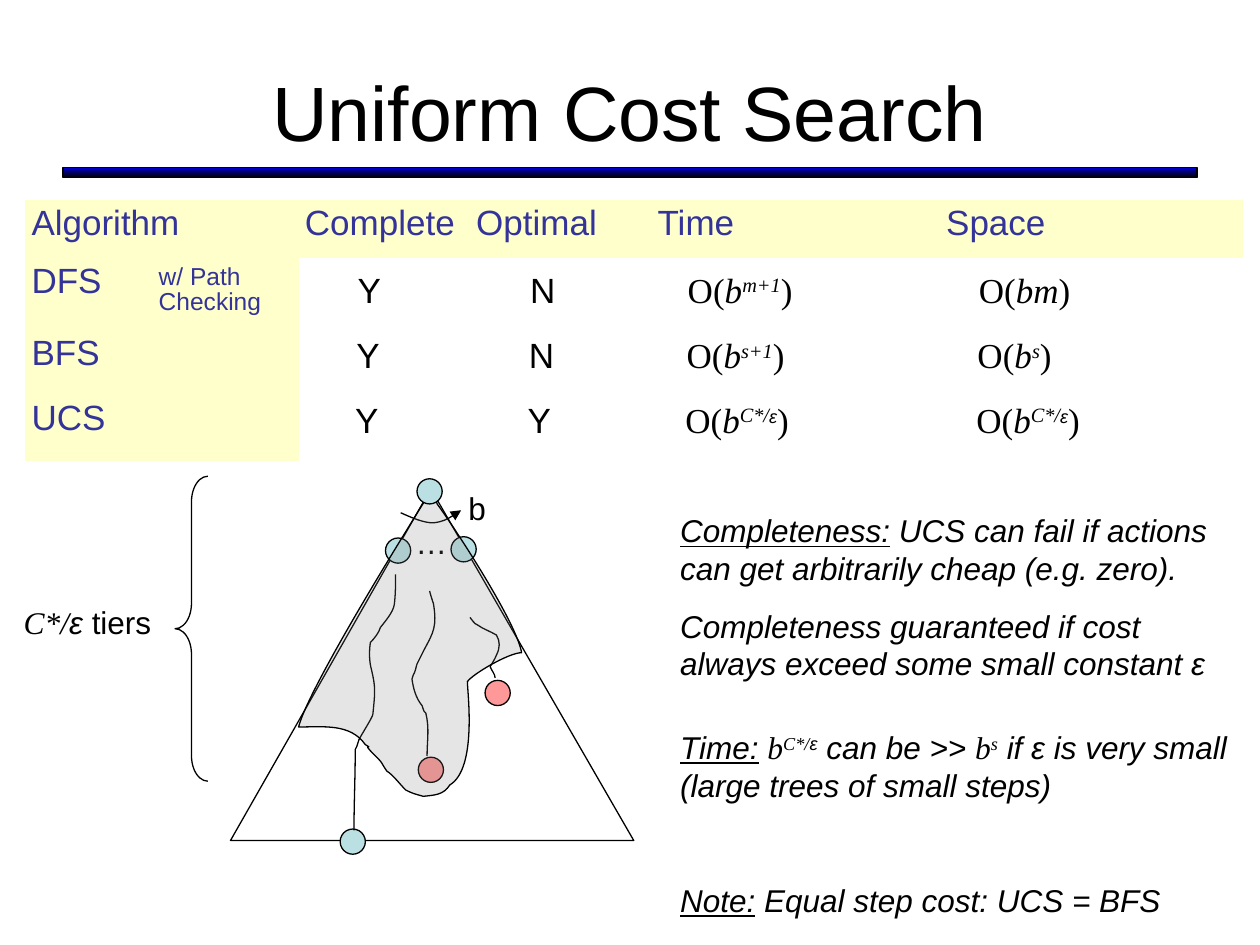
from lxml.etree import SubElement
from pptx import Presentation
from pptx.dml.color import RGBColor
from pptx.enum.shapes import MSO_SHAPE
from pptx.enum.text import MSO_ANCHOR, MSO_AUTO_SIZE, PP_ALIGN
from pptx.oxml.ns import qn
from pptx.util import Inches, Pt

COLORS = {"black": "000000", "navy": "0000CC", "heading": "333399", "cream": "FFFFCC",
          "node": "BBE0E3", "goal": "FF9999", "region": "808080"}
SANS, SERIF = "Arial", "Times New Roman"
BRANCH_ARC = [(1.38, 0.37), (1.47, 0.41, 1.56, 0.45, 1.64, 0.45),
              (1.72, 0.44, 1.79, 0.4, 1.86, 0.35)]
SEARCH_PATHS = [
    [(1.34, 0.86), (1.34, 0.94, 1.34, 1.02, 1.33, 1.1), (1.32, 1.16, 1.26, 1.23, 1.22, 1.28),
     (1.21, 1.32, 1.17, 1.37, 1.14, 1.4), (1.13, 1.47, 1.13, 1.55, 1.15, 1.62),
     (1.18, 1.75, 1.18, 1.78, 1.16, 1.97), (1.16, 1.99, 1.07, 2.13, 1.05, 2.17),
     (1.03, 2.23, 1.04, 2.21, 1.02, 2.25), (1.02, 2.48, 1.01, 2.67, 1.01, 2.89)],
    [(1.61, 0.99), (1.62, 1.03, 1.63, 1.06, 1.64, 1.09), (1.67, 1.27, 1.64, 1.32, 1.57, 1.45),
     (1.55, 1.49, 1.53, 1.53, 1.51, 1.57), (1.49, 1.64, 1.51, 1.58, 1.49, 1.64),
     (1.48, 1.65, 1.47, 1.69, 1.47, 1.69), (1.48, 1.76, 1.5, 1.84, 1.55, 1.9),
     (1.55, 1.91, 1.55, 1.92, 1.56, 1.93), (1.56, 1.94, 1.57, 1.95, 1.58, 1.96),
     (1.61, 2.08, 1.59, 2.18, 1.59, 2.3)],
    [(1.93, 1.2), (1.95, 1.22, 1.96, 1.25, 1.99, 1.26), (2.03, 1.29, 2.09, 1.31, 2.14, 1.34),
     (2.17, 1.39, 2.17, 1.44, 2.14, 1.5), (2.13, 1.53, 2.09, 1.59, 2.09, 1.59),
     (2.1, 1.62, 2.13, 1.65, 2.13, 1.68)],
]
EXPLORED = [
    (1.67, 0.3), (1.81, 0.49, 2.3, 1.24, 2.34, 1.48), (2.24, 1.48, 1.95, 1.65, 1.91, 1.71),
    (1.91, 1.79, 1.99, 2.4, 1.77, 2.53), (1.72, 2.61, 1.65, 2.61, 1.56, 2.62),
    (1.49, 2.6, 1.48, 2.6, 1.42, 2.57), (1.37, 2.52, 1.32, 2.45, 1.27, 2.42),
    (1.21, 2.33, 1.25, 2.37, 1.17, 2.29), (1.05, 2.17, 1.18, 2.26, 1.1, 2.21),
    (0.98, 2.04, 0.77, 2.07, 0.57, 2.07), (0.65, 1.76, 1.37, 0.6, 1.55, 0.31),
    (1.73, 0.02, 1.65, 0.3, 1.67, 0.3)]


def color(name):
    return RGBColor.from_string(COLORS[name])


def write(para, spans, size, font=SANS, ink="black", italic=None):
    para.font.size, para.font.name, para.font.italic = Pt(size), font, italic
    para.font.color.rgb = color(ink)
    for text, marks in spans:
        span = para.add_run()
        span.text = text
        if "i" in marks:
            span.font.italic = True
        if "u" in marks:
            span.font.underline = True
        if "a" in marks:
            span.font.name, span.font.size = SANS, Pt(18)
        if "t" in marks:
            span.font.name = SERIF
        if "^" in marks:
            span.font._element.set("baseline", "30000")


def add_text(page, box, paragraphs, size, gap=0, **style):
    frame = page.shapes.add_textbox(*map(Inches, box)).text_frame
    frame.word_wrap = True
    frame.auto_size = MSO_AUTO_SIZE.SHAPE_TO_FIT_TEXT
    for index, spans in enumerate(paragraphs):
        para = frame.add_paragraph() if index else frame.paragraphs[0]
        para.space_before = Pt(gap if index else 0)
        write(para, spans, size, **style)


def finish(shape, fill=None):
    shape.shadow.inherit = False
    shape.line.color.rgb = color("black")
    shape.line.width = Pt(0.75)
    if fill:
        shape.fill.solid()
        shape.fill.fore_color.rgb = color(fill)
    else:
        shape.fill.background()
    return shape


def add_outline(page, box, points, closed=False, fill=None):
    spots = [(Inches(box[0] + x), Inches(box[1] + y)) for x, y in points]
    builder = page.shapes.build_freeform(*spots[0])
    builder.add_line_segments(spots[1:], close=closed)
    return finish(builder.convert_to_shape(), fill)


def add_curve(page, box, curve, closed=False, fill=None):
    shape = add_outline(page, box, [knot[-2:] for knot in curve], closed, fill)
    lines = list(shape._element.iter(qn("a:lnTo")))
    for line, knot in zip(lines, curve[1:]):
        bend = line.makeelement(qn("a:cubicBezTo"))
        for x, y in zip(knot[::2], knot[1::2]):
            SubElement(bend, qn("a:pt"), x=str(Inches(box[0] + x) - shape.left),
                       y=str(Inches(box[1] + y) - shape.top))
        line.getparent().replace(line, bend)
    return shape


def add_title(page, box):
    left, top, width, height = box
    rule = page.shapes.add_shape(MSO_SHAPE.RECTANGLE, Inches(left), Inches(top + 1.08),
                                 Inches(width), Inches(0.08))
    finish(rule)
    rule.fill.gradient()
    rule.fill.gradient_angle = 90
    for stop, name in zip(rule.fill.gradient_stops, ("black", "navy")):
        stop.color.rgb = color(name)
    title = page.shapes.title
    title.left, title.top, title.width, title.height = map(Inches, box)
    title.text_frame.vertical_anchor = MSO_ANCHOR.MIDDLE
    para = title.text_frame.paragraphs[0]
    para.alignment = PP_ALIGN.CENTER
    write(para, [("Uniform Cost Search", "")], 44)


def add_comparison(page, box):
    labels = [["Algorithm", "", "Complete", "Optimal", "Time", "Space"],
              ["DFS", "w/ Path Checking"], ["BFS"], ["UCS"]]
    table = page.shapes.add_table(4, 6, *map(Inches, box)).table
    table.first_row = table.horz_banding = False
    table._tbl.tblPr.find(qn("a:tableStyleId")).text = "{2D5ABB26-0587-4C30-8999-92F81FD0307C}"
    for column, width in zip(table.columns, (1.01, 1.16, 1.36, 1.44, 2.29, 2.41)):
        column.width = Inches(width)
    for row, height in zip(table.rows, (0.46, 0.57, 0.52, 0.52)):
        row.height = Inches(height)
    table.cell(0, 0).merge(table.cell(0, 1))
    for r in range(4):
        for c in range(6):
            cell = table.cell(r, c)
            if r and c > 1:
                cell.fill.background()
                continue
            cell.fill.solid()
            cell.fill.fore_color.rgb = color("cream")
            cell.margin_left = Inches(0.05)
            if c < len(labels[r]) and labels[r][c]:
                para = cell.text_frame.paragraphs[0]
                para.line_spacing = 0.93
                write(para, [(labels[r][c], "")], 14 if r and c else 20, ink="heading")


def big_o(*inner):
    return [("O(", ""), *inner, (")", "")]


def add_results(page, box):
    base = ("b", "i")
    ucs = big_o(base, ("C*/", "i^"), ("ε", "ia^"))
    rows = [("Y", "N", big_o(base, ("m+1", "i^")), big_o(("bm", "i"))),
            ("Y", "N", big_o(base, ("s+1", "i^")), big_o(base, ("s", "i^"))),
            ("Y", "Y", ucs, ucs)]
    columns = [(0, 0.67), (1.37, 0.67), (2.62, 2.08), (4.93, 1.5)]
    for r, (y, row) in enumerate(zip((0, 0.52, 1.03), rows)):
        for (x, width), value in zip(columns, row):
            plain = isinstance(value, str)
            add_text(page, (box[0] + x - 0.01 * r, box[1] + y, width, 0.44),
                     [[(value, "")] if plain else value], 20, font=SANS if plain else SERIF)


def add_tree(page, box):
    left, top = box[:2]

    def add_node(x, y, fill):
        finish(page.shapes.add_shape(MSO_SHAPE.OVAL, Inches(left + x), Inches(top + y),
                                     Inches(0.2), Inches(0.2)), fill)

    add_outline(page, box, [(0.03, 2.97), (3.23, 2.97), (1.62, 0.18)], closed=True)
    for x, y, fill in [(1.26, 0.57, "node"), (1.78, 0.56, "node"), (0.9, 2.88, "node"),
                       (2.05, 1.7, "goal"), (1.52, 2.31, "goal")]:
        add_node(x, y, fill)
    add_text(page, (left + 1.4, top + 0.4, 0.3, 0.4), [[("…", "")]], 18)
    add_text(page, (left + 1.82, top + 0.13, 0.33, 0.4), [[("b", "")]], 18)
    arc = add_curve(page, box, BRANCH_ARC)
    SubElement(arc.line._get_or_add_ln(), qn("a:tailEnd"), type="triangle")
    for curve in SEARCH_PATHS:
        add_curve(page, box, curve)
    region = add_curve(page, box, EXPLORED, closed=True, fill="region")
    tint = region._element.spPr.find(qn("a:solidFill"))[0]
    SubElement(tint, qn("a:alpha"), val="20000")
    add_node(1.51, 0.1, "node")


def add_tiers(page, box):
    left, top, width, height = box
    brace = page.shapes.add_shape(MSO_SHAPE.LEFT_BRACE, Inches(left + 1.3), Inches(top),
                                  Inches(width - 1.3), Inches(height))
    brace.adjustments[0] = 0.78
    finish(brace)
    add_text(page, (left, top + 0.96, 1.24, 0.4),
             [[("C*/", "it"), ("ε", "i"), (" tiers", "")]], 18)


def add_remarks(page, box):
    left, top = box[:2]
    add_text(page, (left, top, 4.5, 1.46),
             [[("Completeness:", "u"),
               (" UCS can fail if actions can get arbitrarily cheap (e.g. zero).", "")],
              [("Completeness guaranteed if cost always exceed some small constant ε", "")]],
             18, gap=11.2, italic=True)
    add_text(page, (left, top + 1.72, 4.7, 1.61),
             [[("Time:", "u"), (" ", ""), ("b", "t"), ("C*/", "t^"), ("ε", "^"),
               (" can be >> ", ""), ("b", "t"), ("s", "t^"),
               (" if ε is very small (large trees of small steps)", "")],
              [("Note:", "u"), (" Equal step cost: UCS = BFS", "")]],
             18, gap=44, italic=True)


def main():
    deck = Presentation()
    deck.slide_width, deck.slide_height = Inches(10), Inches(7.5)
    page = deck.slides.add_slide(deck.slide_layouts[5])
    add_title(page, (0.5, 0.25, 9, 1.25))
    add_comparison(page, (0.2, 1.59, 9.67, 2.07))
    add_results(page, (2.74, 2.08, 6.43, 1.48))
    add_tree(page, (1.8, 3.7, 3.26, 3.1))
    add_tiers(page, (0.09, 3.78, 1.56, 2.42))
    add_remarks(page, (5.3, 4.01, 4.7, 3.33))
    deck.save("out.pptx")


if __name__ == "__main__":
    main()
